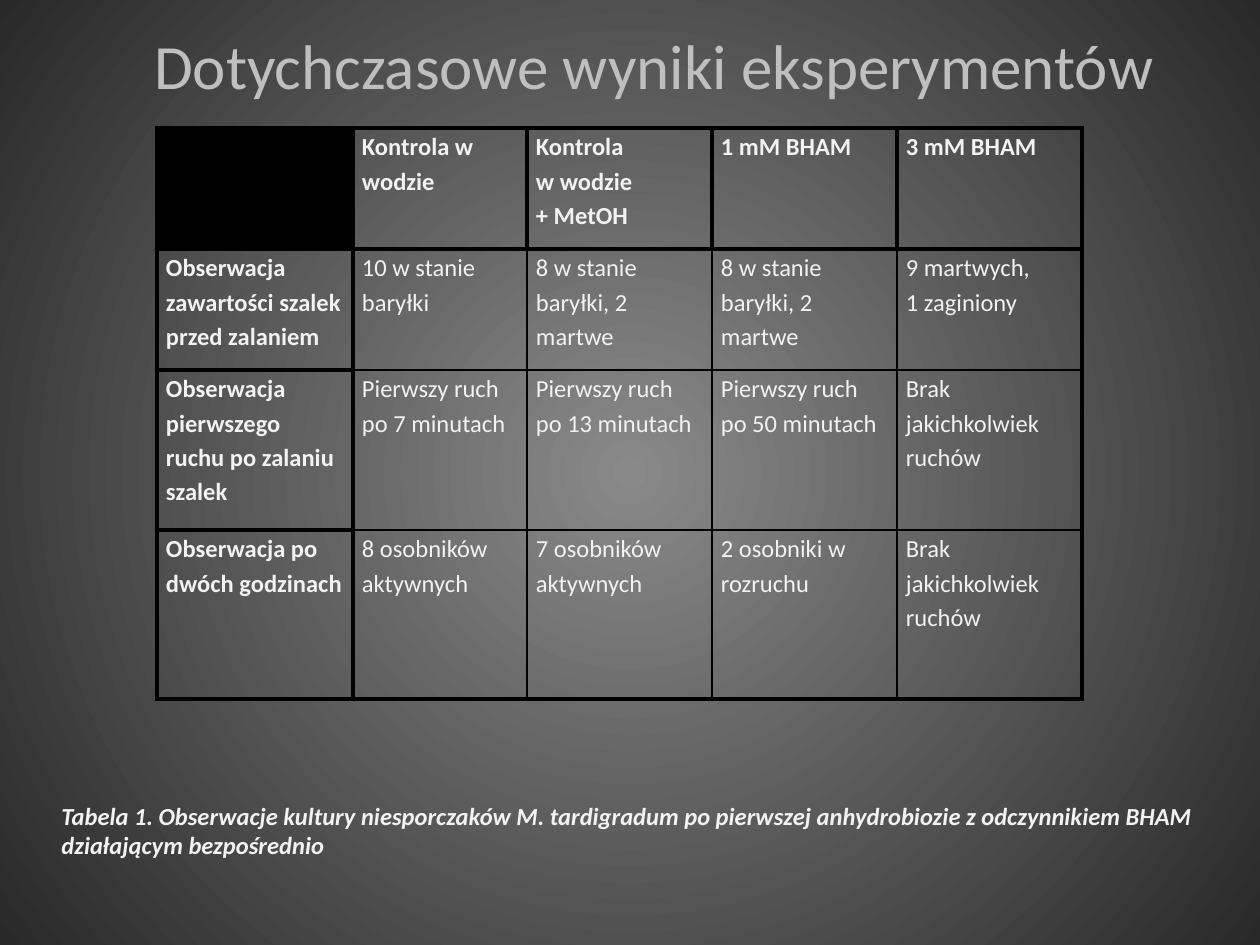
from dataclasses import dataclass

from pptx import Presentation
from pptx.dml.color import RGBColor
from pptx.enum.text import MSO_ANCHOR, MSO_AUTO_SIZE, PP_ALIGN
from pptx.oxml import parse_xml
from pptx.oxml.ns import nsdecls
from pptx.util import Emu, Pt

LEFT, CENTER = PP_ALIGN.LEFT, PP_ALIGN.CENTER
TOP, MIDDLE = MSO_ANCHOR.TOP, MSO_ANCHOR.MIDDLE
FIT_SHAPE = MSO_AUTO_SIZE.SHAPE_TO_FIT_TEXT

EMU_PER_PX = 914400 / 126
FONT = "Calibri"
COLORS = {
    "glow": "898989",
    "edge": "292929",
    "title": "BFBFBF",
    "text": "F2F2F2",
    "border": "000000",
    "corner": "000000",
}
THICK, THIN = 3, 1
CELL_MARGIN = 9

COL_WIDTHS = [196, 174, 185, 185, 185]
ROW_HEIGHTS = [121, 121, 160, 169]
ROWS = [
    ["", "Kontrola w wodzie", "Kontrola \nw wodzie \n+ MetOH", "1 mM BHAM", "3 mM BHAM"],
    ["Obserwacja zawartości szalek przed zalaniem", "10 w stanie baryłki",
     "8 w stanie baryłki, 2 martwe", "8 w stanie baryłki, 2 martwe",
     "9 martwych, \n1 zaginiony"],
    ["Obserwacja pierwszego ruchu po zalaniu szalek", "Pierwszy ruch po 7 minutach",
     "Pierwszy ruch po 13 minutach", "Pierwszy ruch po 50 minutach",
     "Brak jakichkolwiek ruchów"],
    ["Obserwacja po dwóch godzinach", "8 osobników aktywnych", "7 osobników aktywnych",
     "2 osobniki w rozruchu", "Brak jakichkolwiek ruchów"],
]


@dataclass
class Label:
    text: str
    x: int
    y: int
    w: int
    h: int
    fmt: dict
    anchor: MSO_ANCHOR = TOP
    wrap: bool = True


LABELS = [
    Label("Dotychczasowe wyniki eksperymentów", 137, 20, 1034, 89,
          dict(size=36, color="title", align=CENTER), wrap=False),
    Label("Tabela 1. Obserwacje kultury niesporczaków M. tardigradum po pierwszej "
          "anhydrobiozie z odczynnikiem BHAM działającym bezpośrednio",
          49, 794, 1182, 72, dict(bold=True, italic=True), anchor=MIDDLE),
]


def px(n: int) -> Emu:
    return Emu(round(n * EMU_PER_PX))


def write(tf, text: str, *, size: int = 14, color: str = "text", bold: bool = False,
          italic: bool = False, align: PP_ALIGN = LEFT, spacing: float = 1.0) -> None:
    p = tf.paragraphs[0]
    p.alignment = align
    p.line_spacing = spacing
    for i, line in enumerate(text.split("\n")):
        if i:
            p.add_line_break()
        r = p.add_run()
        r.text = line
        r.font.name = FONT
        r.font.size = Pt(size)
        r.font.bold = bold
        r.font.italic = italic
        r.font.color.rgb = RGBColor.from_string(COLORS[color])


def set_background(slide) -> None:
    slide.element.cSld.insert(0, parse_xml(
        f'<p:bg {nsdecls("p", "a")}><p:bgPr><a:gradFill rotWithShape="1"><a:gsLst>'
        f'<a:gs pos="0"><a:srgbClr val="{COLORS["glow"]}"/></a:gs>'
        f'<a:gs pos="100000"><a:srgbClr val="{COLORS["edge"]}"/></a:gs></a:gsLst>'
        '<a:path path="circle"><a:fillToRect l="50000" t="50000" r="50000" b="50000"/>'
        '</a:path></a:gradFill><a:effectLst/></p:bgPr></p:bg>'))


def add_label(slide, label: Label) -> None:
    sp = slide.shapes.add_textbox(px(label.x), px(label.y), px(label.w), px(label.h))
    tf = sp.text_frame
    tf.word_wrap = label.wrap
    tf.auto_size = FIT_SHAPE
    tf.vertical_anchor = label.anchor
    write(tf, label.text, **label.fmt)


def set_borders(cell, row: int, col: int) -> None:
    """Thick lines around the table and its header cells, thin ones inside."""
    header = row == 0 or col == 0
    thick_sides = {
        "L": header or col == 1,
        "R": header or col == len(COL_WIDTHS) - 1,
        "T": header or row == 1,
        "B": header or row == len(ROW_HEIGHTS) - 1,
    }
    tc_pr = cell._tc.get_or_add_tcPr()
    for i, (side, thick) in enumerate(thick_sides.items()):
        width = Pt(THICK if thick else THIN)
        tc_pr.insert(i, parse_xml(
            f'<a:ln{side} {nsdecls("a")} w="{width}"><a:solidFill>'
            f'<a:srgbClr val="{COLORS["border"]}"/></a:solidFill></a:ln{side}>'))


def add_results_table(slide, x: int, y: int) -> None:
    table = slide.shapes.add_table(
        len(ROW_HEIGHTS), len(COL_WIDTHS), px(x), px(y),
        px(sum(COL_WIDTHS)), px(sum(ROW_HEIGHTS))).table
    table.first_row = table.horz_banding = False
    for column, width in zip(table.columns, COL_WIDTHS):
        column.width = px(width)
    for row, height in zip(table.rows, ROW_HEIGHTS):
        row.height = px(height)
    for i, texts in enumerate(ROWS):
        for j, text in enumerate(texts):
            cell = table.cell(i, j)
            cell.margin_left = cell.margin_right = px(CELL_MARGIN)
            cell.margin_top = cell.margin_bottom = 0
            if text:
                cell.fill.background()
                write(cell.text_frame, text, bold=i == 0 or j == 0, spacing=1.15)
            else:
                cell.fill.solid()
                cell.fill.fore_color.rgb = RGBColor.from_string(COLORS["corner"])
            set_borders(cell, i, j)


def main() -> None:
    prs = Presentation()
    prs.slide_width, prs.slide_height = px(1260), px(945)
    slide = prs.slides.add_slide(prs.slide_layouts[6])
    set_background(slide)

    # Title, table, caption
    title, caption = LABELS
    add_label(slide, title)
    add_results_table(slide, 157, 128)
    add_label(slide, caption)

    prs.save("out.pptx")


if __name__ == "__main__":
    main()
